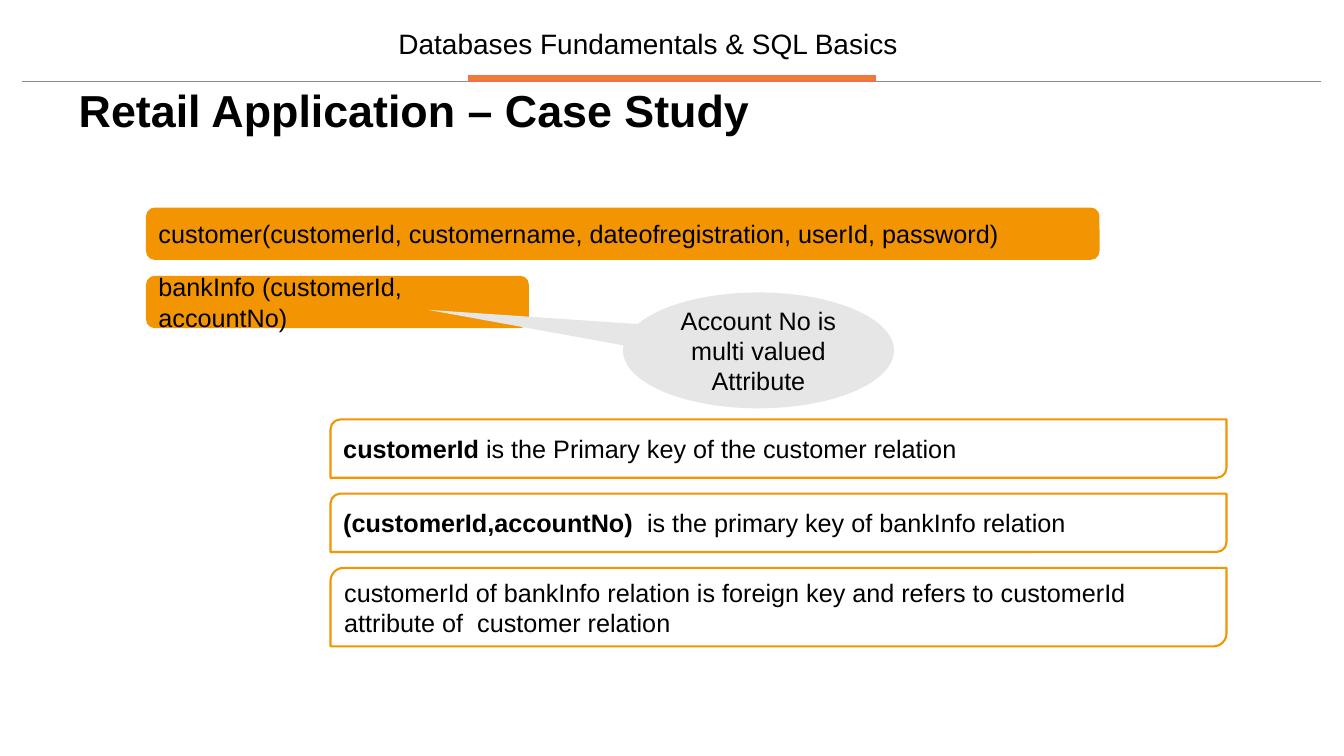
from dataclasses import dataclass

from lxml import etree
from pptx import Presentation
from pptx.dml.color import RGBColor
from pptx.enum.shapes import MSO_CONNECTOR, MSO_SHAPE
from pptx.enum.text import MSO_ANCHOR, MSO_AUTO_SIZE, PP_ALIGN
from pptx.oxml.ns import qn
from pptx.util import Cm, Pt

STRAIGHT = MSO_CONNECTOR.STRAIGHT
RECTANGLE = MSO_SHAPE.RECTANGLE
ROUNDED = MSO_SHAPE.ROUNDED_RECTANGLE
DIAGONAL = MSO_SHAPE.ROUND_2_DIAG_RECTANGLE
CALLOUT = MSO_SHAPE.OVAL_CALLOUT
TOP, MIDDLE = MSO_ANCHOR.TOP, MSO_ANCHOR.MIDDLE
LEFT, CENTER = PP_ALIGN.LEFT, PP_ALIGN.CENTER
NO_AUTOFIT = MSO_AUTO_SIZE.NONE

COURSE = "Databases Fundamentals & SQL Basics"
TITLE = "Retail Application – Case Study"
RELATIONS = [
    ("customer(customerId, customername, dateofregistration, userId, password)", 24.03),
    ("bankInfo (customerId, accountNo)", 9.65),
]
REMARK = "Account No is multi valued Attribute"
KEYS = [
    ("customerId", " is the Primary key of the customer relation", 1.47),
    ("(customerId,accountNo)  ", "is the primary key of bankInfo relation", 1.47),
    ("", "customerId of bankInfo relation is foreign key and refers to "
         "customerId attribute of  customer relation", 1.98),
]


@dataclass(frozen=True)
class Theme:
    font: str = "Arial"
    ink: str = "000000"
    relation: str = "F39502"
    remark: str = "E7E6E6"
    accent: str = "ED7D31"
    accent_edge: str = "F46F4F"
    rule: str = "8C8C8C"
    title_size: int = 32
    course_size: int = 20
    body_size: int = 18


THEME = Theme()
RELATION_LEFT, RELATION_TOP, RELATION_HEIGHT = 3.68, 5.23, 1.32
KEY_LEFT, KEY_TOP, KEY_WIDTH = 8.33, 10.57, 22.58
GAP = 0.4


def write(shape, text, bold_start="", size=THEME.body_size, bold=False,
          align=LEFT, anchor=MIDDLE, spacing=1.0):
    frame = shape.text_frame
    frame.word_wrap = True
    frame.auto_size = NO_AUTOFIT
    frame.vertical_anchor = anchor
    paragraph = frame.paragraphs[0]
    paragraph.alignment = align
    paragraph.line_spacing = spacing
    for words, is_bold in ((bold_start, True), (text, bold)):
        if words:
            run = paragraph.add_run()
            run.text = words
            run.font.name = THEME.font
            run.font.size = Pt(size)
            run.font.bold = is_bold
            run.font.color.rgb = RGBColor.from_string(THEME.ink)


def add_box(slide, kind, left, top, width, height, fill=None, edge=None, edge_width=1.5):
    box = slide.shapes.add_shape(kind, Cm(left), Cm(top), Cm(width), Cm(height))
    box.shadow.inherit = False
    if fill:
        box.fill.solid()
        box.fill.fore_color.rgb = RGBColor.from_string(fill)
    else:
        box.fill.background()
    if edge:
        box.line.color.rgb = RGBColor.from_string(edge)
        box.line.width = Pt(edge_width)
    else:
        box.line.fill.background()
    return box


def add_header(slide):
    rule = slide.shapes.add_connector(STRAIGHT, Cm(0.56), Cm(2.06), Cm(33.3), Cm(2.06))
    rule.line.color.rgb = RGBColor.from_string(THEME.rule)
    rule.line.width = Pt(0.75)
    etree.SubElement(rule._element.spPr, qn("a:effectLst"))
    add_box(slide, RECTANGLE, 11.81, 1.91, 10.24, 0.13,
            fill=THEME.accent, edge=THEME.accent_edge, edge_width=1)
    course = slide.shapes.add_textbox(Cm(9.53), Cm(0.66), Cm(13.61), Cm(0.97))
    write(course, COURSE, size=THEME.course_size, align=CENTER, spacing=0.9)


def add_title(slide):
    title = slide.shapes.title
    title.left, title.top, title.width, title.height = Cm(1.73), Cm(2.11), Cm(32.13), Cm(1.98)
    write(title, TITLE, size=THEME.title_size, bold=True, anchor=TOP, spacing=0.9)


def add_relations(slide):
    for row, (relation, width) in enumerate(RELATIONS):
        top = RELATION_TOP + row * (RELATION_HEIGHT + GAP)
        box = add_box(slide, ROUNDED, RELATION_LEFT, top, width, RELATION_HEIGHT,
                      fill=THEME.relation)
        write(box, relation)


def add_remark(slide):
    remark = add_box(slide, CALLOUT, 15.7, 7.37, 6.83, 2.92, fill=THEME.remark)
    remark.adjustments[0] = -1.22
    remark.adjustments[1] = -0.35
    write(remark, REMARK, align=CENTER)


def add_keys(slide):
    top = KEY_TOP
    for key, statement, height in KEYS:
        box = add_box(slide, DIAGONAL, KEY_LEFT, top, KEY_WIDTH, height, edge=THEME.relation)
        write(box, statement, bold_start=key)
        top += height + GAP


def main():
    deck = Presentation()
    deck.slide_width, deck.slide_height = Cm(33.87), Cm(19.05)
    slide = deck.slides.add_slide(deck.slide_layouts[5])
    add_header(slide)
    add_title(slide)
    add_relations(slide)
    add_remark(slide)
    add_keys(slide)
    deck.save("out.pptx")


if __name__ == "__main__":
    main()
